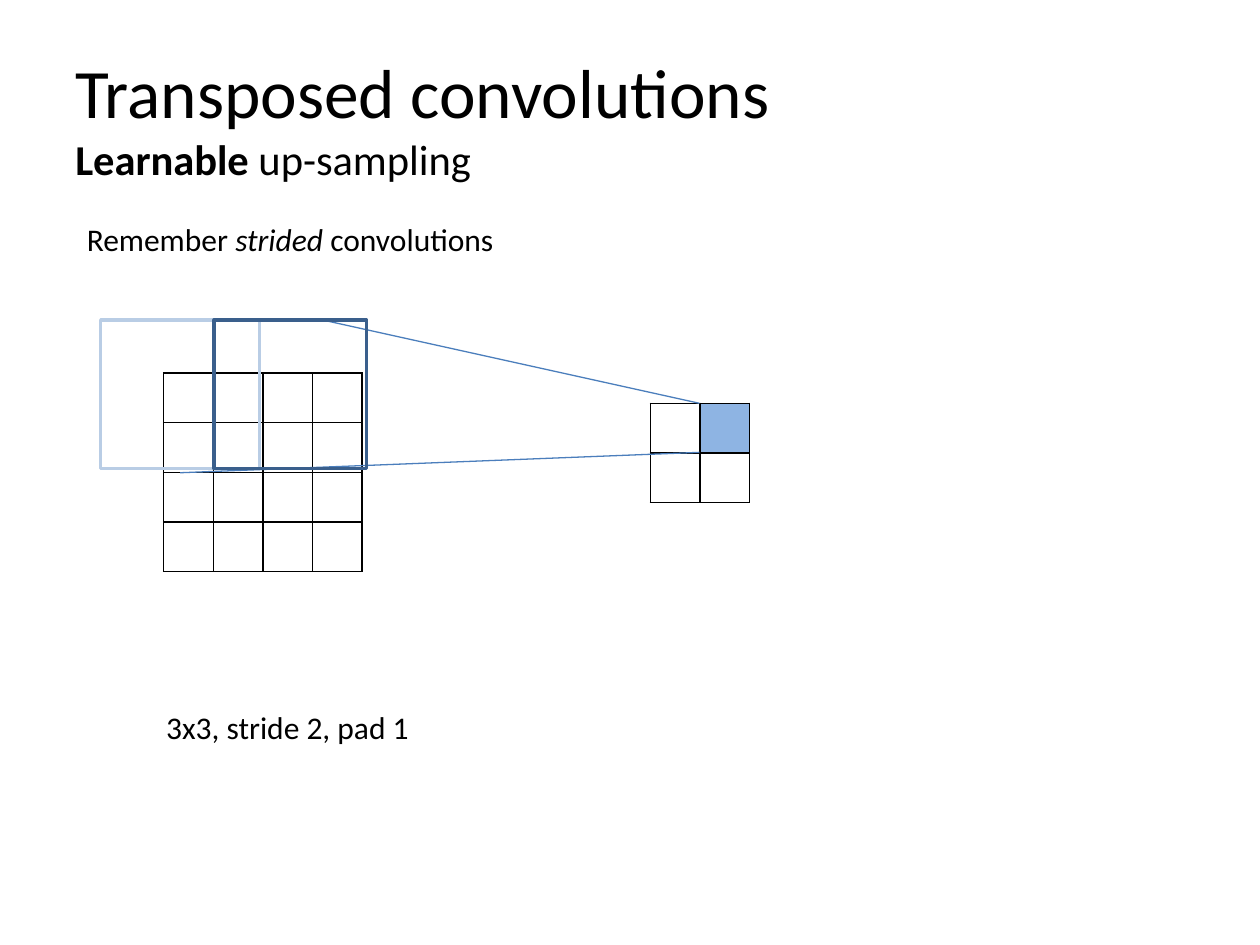
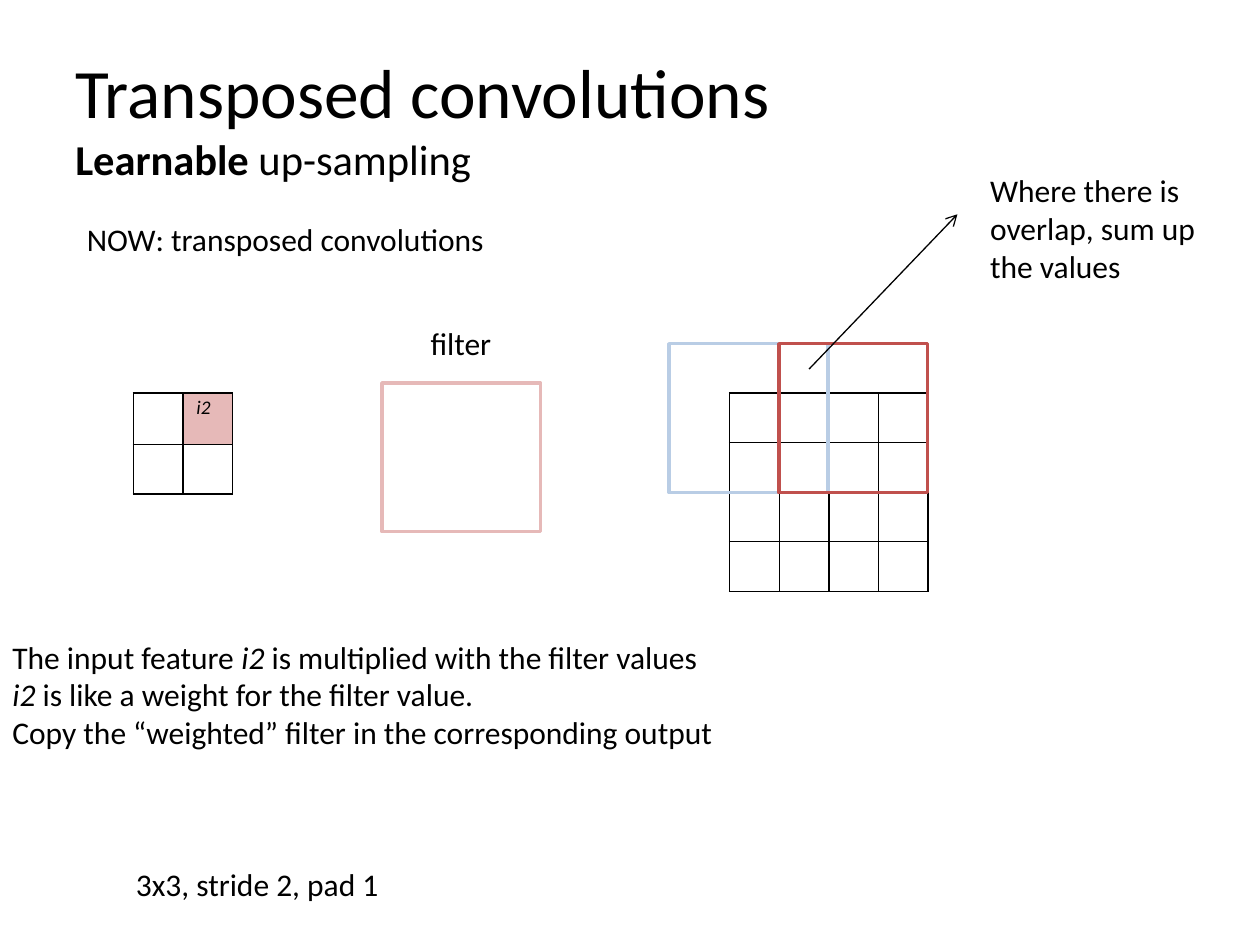
from lxml import etree
from pptx import Presentation
from pptx.dml.color import RGBColor
from pptx.enum.shapes import MSO_CONNECTOR, MSO_SHAPE
from pptx.enum.text import MSO_ANCHOR
from pptx.oxml.ns import qn
from pptx.util import Cm, Pt

STRAIGHT = MSO_CONNECTOR.STRAIGHT
RECTANGLE = MSO_SHAPE.RECTANGLE
MIDDLE = MSO_ANCHOR.MIDDLE

BLACK = RGBColor(0x00, 0x00, 0x00)
WHITE = RGBColor(0xFF, 0xFF, 0xFF)
BLUE = RGBColor(0x8E, 0xB4, 0xE3)
PALE_BLUE = RGBColor(0xB9, 0xCD, 0xE5)
LINE_BLUE = RGBColor(0x4B, 0x7E, 0xBC)
DARK_BLUE = RGBColor(0x3A, 0x5F, 0x8C)
PINK = RGBColor(0xE6, 0xB9, 0xB8)
RED = RGBColor(0xC0, 0x50, 0x4D)

FONT = "Calibri"
CELL = 1
KERNEL = 3
WIDE_KERNEL = 3.2
SETTINGS = "3x3, stride 2, pad 1"


def style_paragraph(paragraph, size):
    """Set the shared font, colour and a size on a paragraph."""
    paragraph.font.name = FONT
    paragraph.font.size = Pt(size)
    paragraph.font.color.rgb = BLACK


def add_title(slide):
    """Add the two-line heading that the slides share."""
    box = slide.shapes.add_textbox(Cm(1.27), Cm(0.76), Cm(22.86), Cm(3.18))
    frame = box.text_frame
    frame.word_wrap = True
    frame.vertical_anchor = MIDDLE
    heading = frame.paragraphs[0]
    style_paragraph(heading, 39.6)
    heading.add_run().text = "Transposed convolutions"
    heading.add_line_break()
    for words, bold in (("Learnable", True), (" up-sampling", False)):
        run = heading.add_run()
        run.text = words
        run.font.size = Pt(24.3)
        run.font.bold = bold


def add_text(slide, left, top, width, lines, wrap=False, height=1.02):
    """Add 18 pt lines in which words between asterisks are italic."""
    box = slide.shapes.add_textbox(Cm(left), Cm(top), Cm(width), Cm(height))
    frame = box.text_frame
    frame.word_wrap = wrap
    for index, line in enumerate(lines):
        paragraph = frame.add_paragraph() if index else frame.paragraphs[0]
        style_paragraph(paragraph, 18)
        for part, words in enumerate(line.split("*")):
            if words:
                run = paragraph.add_run()
                run.text = words
                if part % 2:
                    run.font.italic = True


def outline_cell(cell):
    """Draw a thin black border on all sides of a table cell."""
    properties = cell._tc.get_or_add_tcPr()
    for side in ("a:lnL", "a:lnR", "a:lnT", "a:lnB"):
        border = etree.SubElement(properties, qn(side), w=str(Pt(1)))
        solid = etree.SubElement(border, qn("a:solidFill"))
        etree.SubElement(solid, qn("a:srgbClr"), val=str(BLACK))


def add_grid(slide, left, top, count):
    """Add a square feature map of empty cells and return its table."""
    side = Cm(count * CELL)
    grid = slide.shapes.add_table(count, count, Cm(left), Cm(top), side, side).table
    grid.first_row = False
    grid.horz_banding = False
    for cell in grid.iter_cells():
        cell.margin_left = cell.margin_right = Cm(0.18)
        cell.margin_top = cell.margin_bottom = 0
        outline_cell(cell)
        cell.fill.background()
    return grid


def fill_cell(cell, color):
    """Give a table cell a solid colour."""
    cell.fill.solid()
    cell.fill.fore_color.rgb = color


def add_kernel(slide, left, top, color, width=KERNEL):
    """Add the open frame of a filter window."""
    kernel = slide.shapes.add_shape(
        RECTANGLE, Cm(left), Cm(top), Cm(width), Cm(KERNEL))
    kernel.shadow.inherit = False
    kernel.fill.background()
    kernel.line.color.rgb = color
    kernel.line.width = Pt(2)


def add_line(slide, start, end, color, arrow=False):
    """Add a thin straight line, with an open arrowhead if asked."""
    line = slide.shapes.add_connector(
        STRAIGHT, *(Cm(length) for length in (*start, *end)))
    line.line.color.rgb = color
    line.line.width = Pt(0.75)
    if arrow:
        etree.SubElement(line.line._get_or_add_ln(), qn("a:tailEnd"), type="arrow")
    etree.SubElement(line._element.spPr, qn("a:effectLst"))


def build_strided(slide):
    """Show how a strided convolution shrinks a feature map."""
    add_title(slide)
    add_text(slide, 1.5, 4.32, 8.84, ["Remember *strided* convolutions"])
    add_grid(slide, 3.3, 7.52, 4)
    add_text(slide, 3.1, 14.15, 5.46, [SETTINGS])
    output = add_grid(slide, 13.11, 8.13, 2)
    fill_cell(output.cell(0, 1), BLUE)
    add_line(slide, (6.5, 6.45), (14.1, 8.13), LINE_BLUE)
    add_line(slide, (3.63, 9.53), (14.1, 9.12), LINE_BLUE)
    add_kernel(slide, 2.03, 6.45, PALE_BLUE, WIDE_KERNEL)
    add_kernel(slide, 4.32, 6.45, DARK_BLUE, 3.07)


def build_transposed(slide):
    """Show how a transposed convolution enlarges a feature map."""
    add_title(slide)
    add_text(slide, 1.5, 4.32, 8.61, ["NOW: transposed convolutions"])
    add_grid(slide, 14.71, 7.92, 4)
    features = add_grid(slide, 2.69, 7.92, 2)
    features.rows[0].height = Cm(1.04)
    fill_cell(features.cell(0, 0), WHITE)
    weight = features.cell(0, 1)
    fill_cell(weight, PINK)
    weight.margin_left = Cm(0.27)
    weight.text = "i2"
    label = weight.text_frame.paragraphs[0]
    label.line_spacing = 1.15
    style_paragraph(label, 11)
    label.font.italic = True
    add_text(slide, 2.49, 17.32, 5.46, [SETTINGS])
    add_kernel(slide, 13.49, 6.93, PALE_BLUE, WIDE_KERNEL)
    add_kernel(slide, 7.7, 7.72, PINK, WIDE_KERNEL)
    add_text(slide, 8.43, 6.4, 1.75, ["filter"])
    add_text(slide, 0, 12.73, 14.81, [
        "The input feature *i2 *is multiplied with the filter values",
        "*i2 *is like a weight for the filter value.",
        "Copy the “weighted” filter in the corresponding output",
    ], height=2.57)
    add_kernel(slide, 15.7, 6.93, RED)
    add_line(slide, (16.31, 7.44), (19.3, 4.32), BLACK, arrow=True)
    add_text(slide, 19.71, 3.33, 4.9,
             ["Where there is overlap, sum up the values"], wrap=True, height=2.57)


def main():
    """Build and save the presentation."""
    deck = Presentation()
    deck.slide_width = Cm(25.4)
    deck.slide_height = Cm(19.05)
    blank = deck.slide_layouts[6]
    for build in (build_strided, build_transposed):
        build(deck.slides.add_slide(blank))
    deck.save("out.pptx")


if __name__ == "__main__":
    main()
